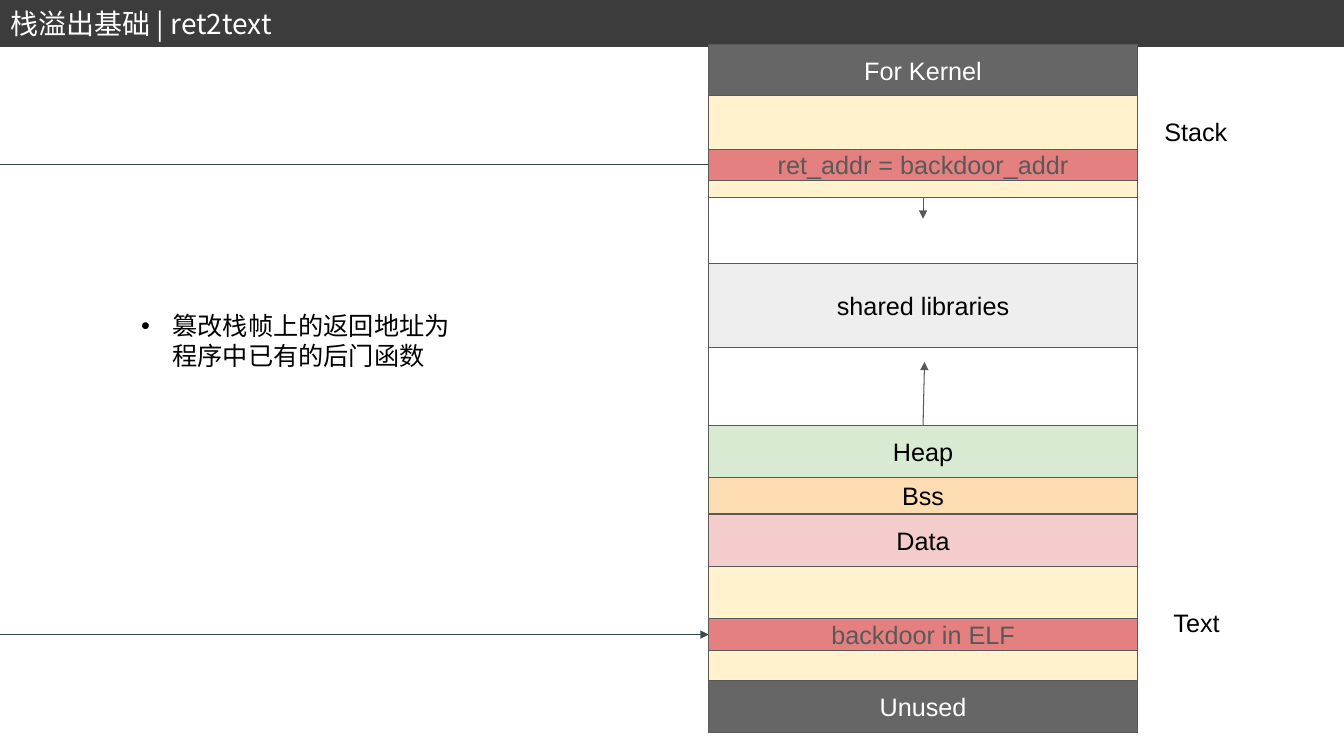
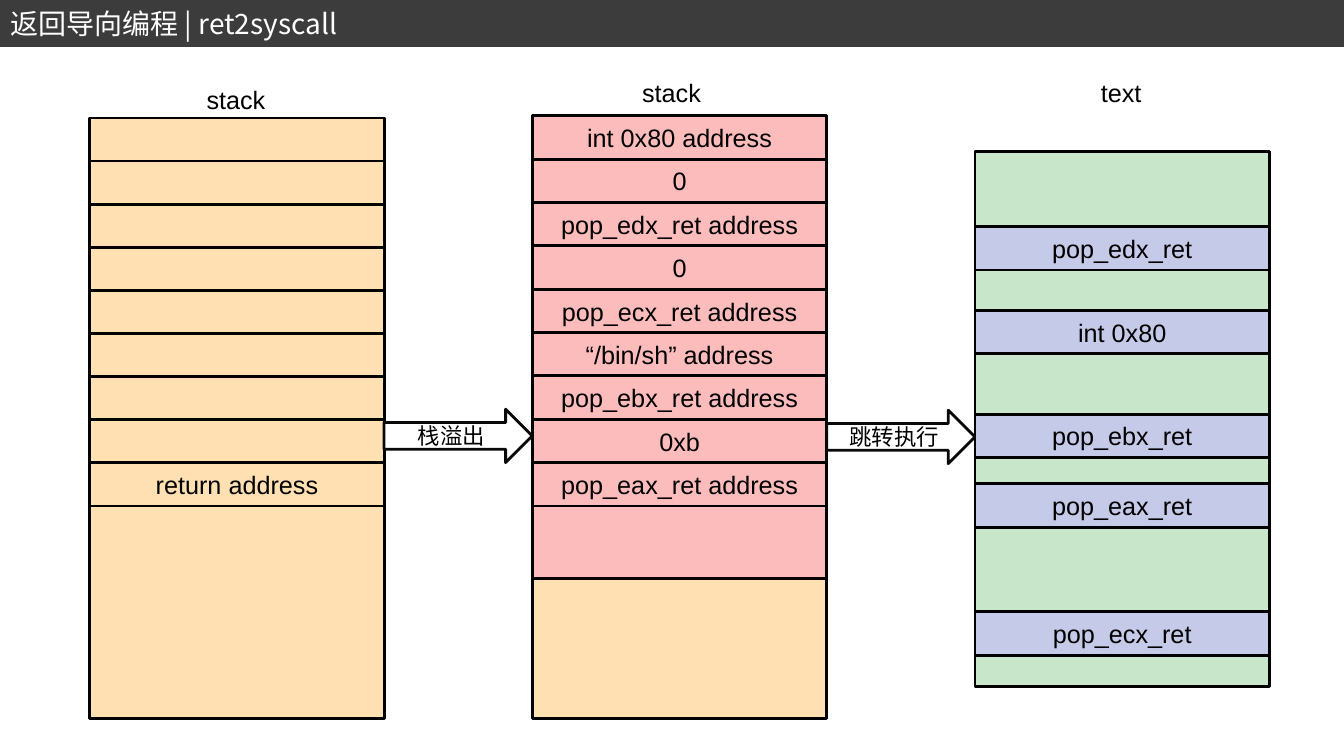
import pptx
import pptx.util
import pptx.dml.color
import pptx.enum.shapes
import pptx.enum.text
import pptx.oxml
import pptx.oxml.ns
from lxml import etree

RGB = pptx.dml.color.RGBColor
SHAPE = pptx.enum.shapes.MSO_SHAPE
ALIGN = pptx.enum.text.PP_ALIGN
ANCHOR = pptx.enum.text.MSO_ANCHOR
Inches, Pt, qn = pptx.util.Inches, pptx.util.Pt, pptx.oxml.ns.qn

WHITE, BLACK = RGB(255, 255, 255), RGB(0, 0, 0)
BAND, GRAY, EDGE = RGB(0x3C, 0x3C, 0x3C), RGB(0x66, 0x66, 0x66), RGB(0x59, 0x59, 0x59)
CREAM, LIGHT, MINT = RGB(0xFF, 0xF2, 0xCC), RGB(0xEE, 0xEE, 0xEE), RGB(0xD9, 0xEA, 0xD3)
PEACH, ROSE, RED = RGB(0xFF, 0xDD, 0xB3), RGB(0xF4, 0xCC, 0xCC), RGB(0xE4, 0x80, 0x80)
ORANGE, PINK = RGB(0xFF, 0xE0, 0xB2), RGB(0xFC, 0xBC, 0xBC)
GREEN, LILAC = RGB(0xC8, 0xE6, 0xC9), RGB(0xC5, 0xCA, 0xE9)
SLATE, INK = RGB(0x3A, 0x49, 0x50), RGB(0x09, 0x09, 0x09)
LATIN, CJK = "Arial", "Noto Sans CJK SC"
SLIDE_W, SLIDE_H = 13.33, 7.5
BAND_BOX = (0, 0.01, SLIDE_W, 0.44)
TITLE_BOX = (0, 0.01, 6.17, 0.44)

# Memory map: (top, label, fill, text colour), each region ending where the next starts
MEMORY_X, MEMORY_W, MEMORY_END = 7.03, 4.25, 7.27
REGIONS = [
    (0.44, "For Kernel", GRAY, WHITE),
    (0.95, "", CREAM, BLACK),
    (1.96, "", WHITE, BLACK),
    (2.61, "shared libraries", LIGHT, BLACK),
    (3.45, "", WHITE, BLACK),
    (4.22, "Heap", MINT, BLACK),
    (4.74, "Bss", PEACH, BLACK),
    (5.10, "Data", ROSE, BLACK),
    (5.62, "", CREAM, BLACK),
    (6.75, "Unused", GRAY, WHITE),
]
STACK, HEAP = 1, 5
HIJACK = [(1.48, "ret_addr = backdoor_addr"), (6.14, "backdoor in ELF")]
SIDE_LABELS = [("Stack", 11.45, 1.11, 0.94), ("Text", 11.54, 5.98, 0.75)]
POINT = "篡改栈帧上的返回地址为程序中已有的后门函数"

# Three columns: stack before, stack after, code
COL_X, COL_PITCH, COL_W, CELL_H = 0.89, 4.39, 2.92, 0.43
ROWS_END, STACK_END = 5.02, 7.13
BEFORE = [""] * 8 + ["return address"]
AFTER = ["int 0x80 address", "0", "pop_edx_ret address", "0", "pop_ecx_ret address",
         "“/bin/sh” address", "pop_ebx_ret address", "0xb", "pop_eax_ret address"]
GADGETS = [("pop_edx_ret", 2.25), ("int 0x80", 3.08), ("pop_ebx_ret", 4.11),
           ("pop_eax_ret", 4.8), ("pop_ecx_ret", 6.07)]
HEADINGS = [("stack", 1.95, 0.79, 0.79), ("stack", 6.27, 0.72, 0.79),
            ("text", 10.82, 0.72, 0.61)]
ARROWS = [("栈溢出", 4.06), ("跳转执行", 4.07)]


def write(shape, text, size=18, font=LATIN, color=BLACK, align=ALIGN.LEFT,
          anchor=ANCHOR.TOP, wrap=True):
    tf = shape.text_frame
    tf.word_wrap = wrap
    tf.auto_size = pptx.enum.text.MSO_AUTO_SIZE.NONE
    tf.vertical_anchor = anchor
    p = tf.paragraphs[0]
    p.alignment = align
    p.space_before = Pt(0)
    r = p.add_run()
    r.text = text
    r.font.size, r.font.name = Pt(size), font
    r.font.color.rgb = color
    etree.SubElement(r.font._element, qn("a:ea")).set("typeface", font)
    return p


def add_box(s, x, y, w, h, fill, text="", kind=SHAPE.RECTANGLE, line=BLACK, width=2, **fmt):
    sp = s.shapes.add_shape(kind, Inches(x), Inches(y), Inches(w), Inches(h))
    sp.shadow.inherit = False
    sp.fill.solid()
    sp.fill.fore_color.rgb = fill
    sp.line.color.rgb, sp.line.width = line, Pt(width)
    if text:
        write(sp, text, align=ALIGN.CENTER, anchor=ANCHOR.MIDDLE, **fmt)
    return sp


def add_label(s, text, x, y, w, **fmt):
    write(s.shapes.add_textbox(Inches(x), Inches(y), Inches(w), Inches(0.4)), text, **fmt)


def add_line(s, start, end, color=EDGE, arrow=True):
    line = s.shapes.add_connector(pptx.enum.shapes.MSO_CONNECTOR.STRAIGHT,
                                  *map(Inches, start + end))
    line.line.color.rgb, line.line.width = color, Pt(0.75)
    if arrow:
        etree.SubElement(line.line._get_or_add_ln(), qn("a:tailEnd")).set("type", "triangle")
    etree.SubElement(line._element.spPr, qn("a:effectLst"))
    return line


def place(shape, x, y, w, h):
    shape.left, shape.top, shape.width, shape.height = map(Inches, (x, y, w, h))


def add_slide(prs, layout, title):
    s = prs.slides.add_slide(prs.slide_layouts[layout])
    write(s.shapes.title, title, size=20, font=CJK, color=WHITE)
    return s


def style_master(prs, s):
    """Move a band drawn on slide s behind everything on the master."""
    band = add_box(s, *BAND_BOX, BAND, line=BAND)
    band.element.nvSpPr.cNvPr.set("id", "99")
    prs.slide_master.shapes.element.insert(2, band.element)
    place(prs.slide_master.placeholders[0], *TITLE_BOX)


def build_ret2text(s):
    body = s.placeholders[1]
    place(body, 1.3, 3.03, 3.35, 0.71)
    pPr = write(body, POINT, font=CJK)._p.get_or_add_pPr()
    pPr.set("marL", str(Inches(0.31)))
    pPr.set("indent", str(-Inches(0.31)))

    ends = [region[0] for region in REGIONS[1:]] + [MEMORY_END]
    boxes = [add_box(s, MEMORY_X, top, MEMORY_W, end - top, fill, text,
                     line=EDGE, width=0.75, color=color)
             for (top, text, fill, color), end in zip(REGIONS, ends)]

    middle = MEMORY_X + MEMORY_W / 2
    stack_end, heap_top = REGIONS[STACK + 1][0], REGIONS[HEAP][0]
    add_line(s, (middle, stack_end), (middle, 2.17)).begin_connect(boxes[STACK], 2)
    add_line(s, (middle, heap_top), (9.17, 3.59)).begin_connect(boxes[HEAP], 0)

    for i, (top, text) in enumerate(HIJACK):
        box = add_box(s, MEMORY_X, top, MEMORY_W, 0.31, RED, text,
                      line=EDGE, width=0.75, color=EDGE)
        y = top + 0.31 / 2
        add_line(s, (0, y), (MEMORY_X, y), SLATE, arrow=i == 1).end_connect(box, 1)
    for text, x, y, w in SIDE_LABELS:
        add_label(s, text, x, y, w)


def build_ret2syscall(s):
    before_x, after_x, code_x = [COL_X + i * COL_PITCH for i in range(3)]
    for x, top, rows, fill in [(before_x, 1.17, BEFORE, ORANGE), (after_x, 1.15, AFTER, PINK)]:
        pitch = (ROWS_END - top) / len(rows)
        for i, text in enumerate(rows):
            add_box(s, x, top + i * pitch, COL_W, pitch, fill, text)
    add_box(s, before_x, ROWS_END, COL_W, STACK_END - ROWS_END, ORANGE)
    add_box(s, after_x, 5.74, COL_W, STACK_END - 5.74, ORANGE)
    add_box(s, after_x, ROWS_END, COL_W, 5.74 - ROWS_END, PINK)

    add_box(s, code_x, 1.5, COL_W, 5.31, GREEN)
    for text, y in GADGETS:
        add_box(s, code_x, y, COL_W, CELL_H, LILAC, text)
    for x, (text, y) in zip((before_x, after_x), ARROWS):
        add_box(s, x + COL_W, y, COL_PITCH - COL_W, 0.53, WHITE, text,
                kind=SHAPE.RIGHT_ARROW, line=INK, size=16, font=CJK)
    for text, x, y, w in HEADINGS:
        add_label(s, text, x, y, w, wrap=False)


def main():
    prs = pptx.Presentation()
    prs.slide_width, prs.slide_height = Inches(SLIDE_W), Inches(SLIDE_H)
    s = add_slide(prs, 1, "栈溢出基础 | ret2text")
    style_master(prs, s)
    build_ret2text(s)
    build_ret2syscall(add_slide(prs, 5, "返回导向编程 | ret2syscall"))
    prs.save("out.pptx")


if __name__ == "__main__":
    main()
